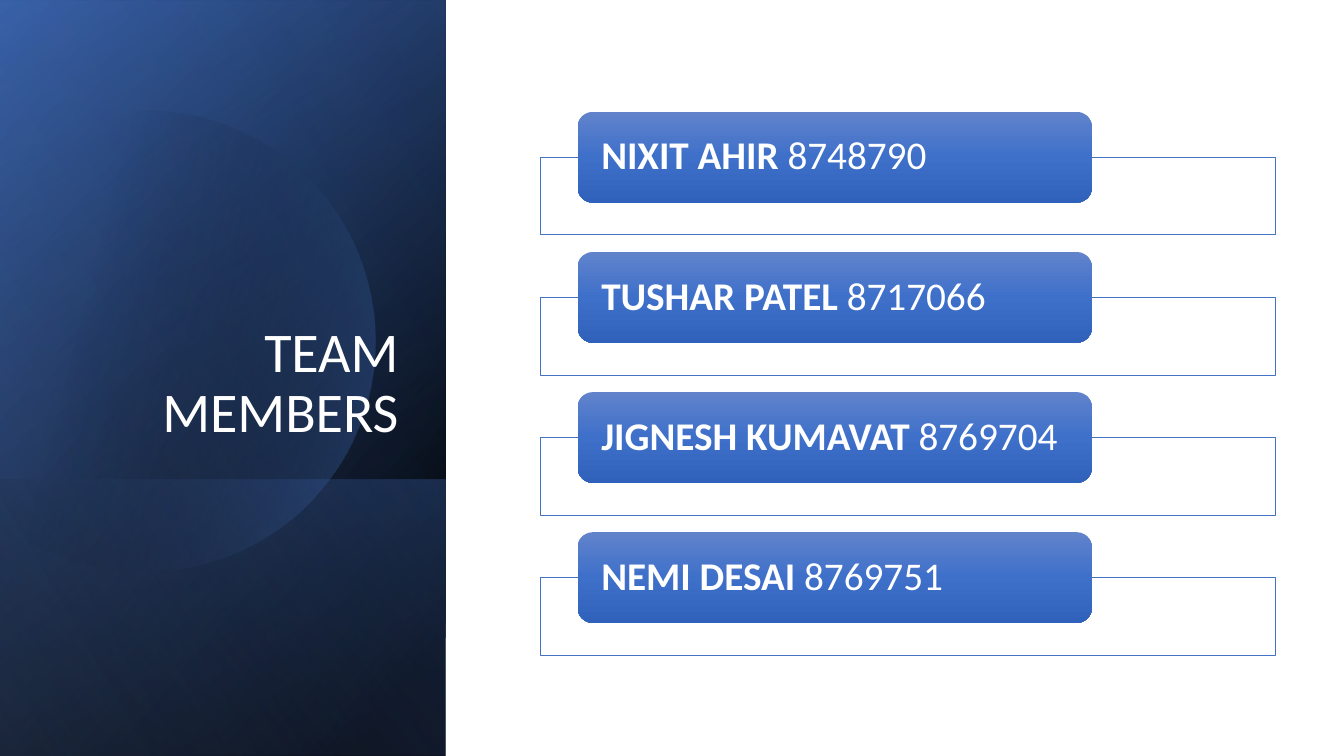
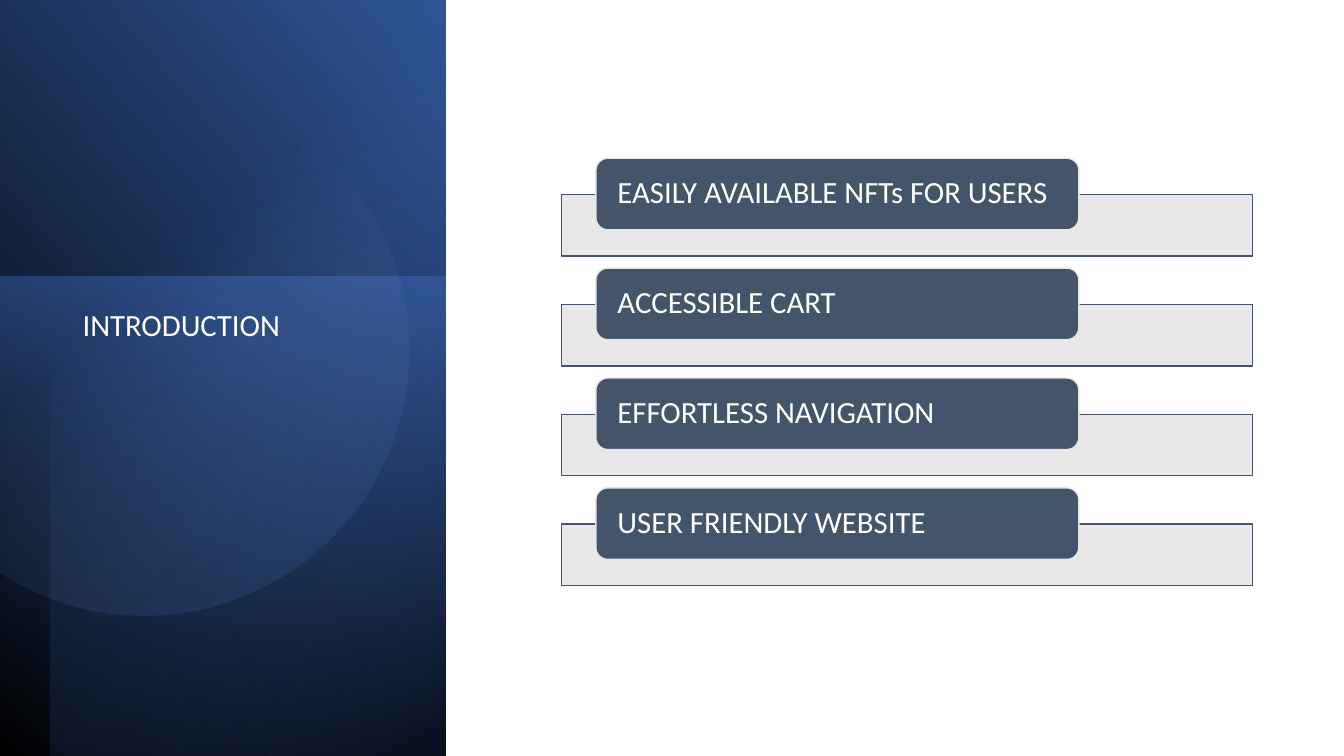
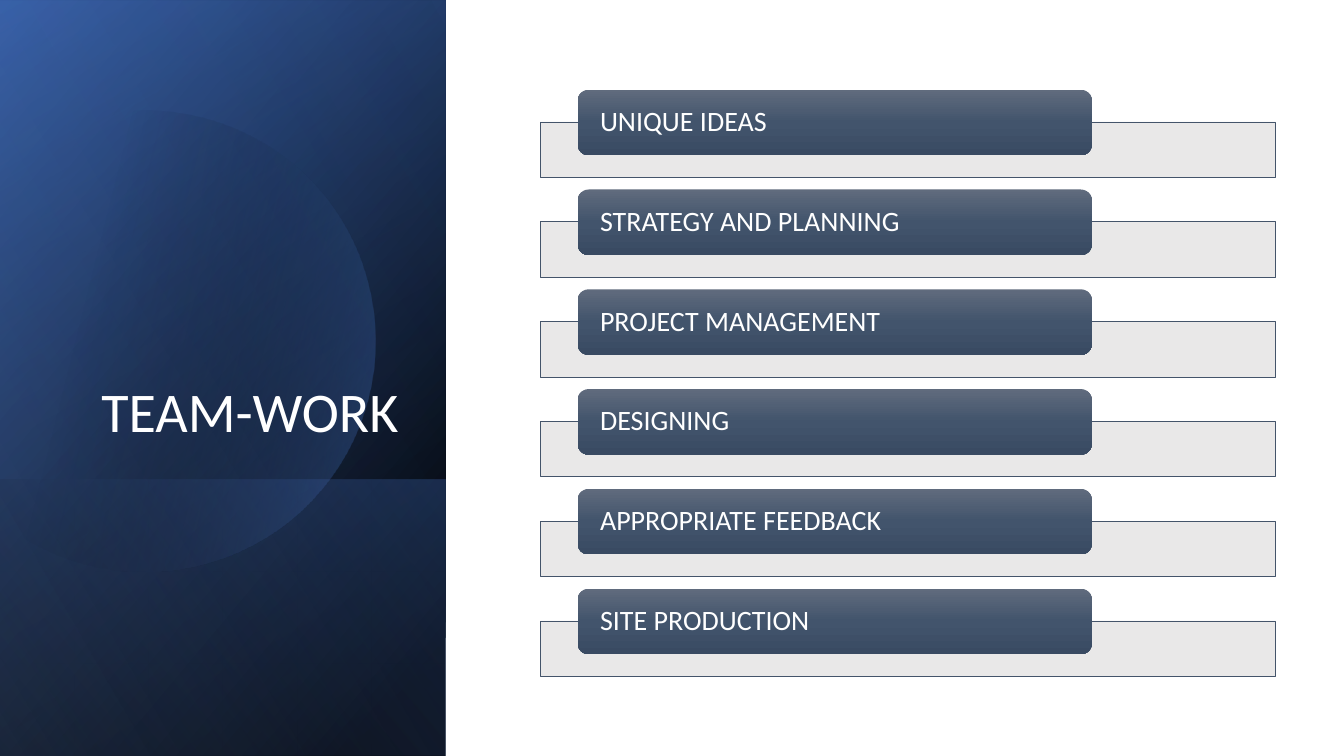
from lxml import etree
from pptx import Presentation
from pptx import util as u
from pptx.dml.color import RGBColor
from pptx.enum import shapes, text
from pptx.oxml.ns import qn

BLACK, WHITE = "000000", "FFFFFF"
BLUE, DEEP_BLUE, PALE_BLUE, NAVY = "4472C4", "2F5597", "8FAADC", "203864"
SLATE, GREY = "44546A", "E7E6E6"
BLUE_CARD = (90, [(0, "6183CB", 100), (50, "3E70CA", 100), (100, "3062BB", 100)])
SLATE_CARD = (90, [(0, "606B7D", 100), (50, "42546C", 100), (100, "394A62", 100)])

CORNER_PANELS = [
    ((-1.54, 1.54, 7.5, 4.42), 90, True, (50, [(8, BLACK, 100), (100, DEEP_BLUE, 100)])),
    ((-1.54, 1.55, 7.5, 4.42), 90, True, (30, [(0, BLACK, 0), (99, BLUE, 46)])),
    ((0.84, 3.92, 2.74, 4.42), 90, True, (130, [(2, BLUE, 29), (100, BLACK, 30)])),
]
CORNER_DISC = [
    (1.49, 1.1), (2.46, 1.12, 3.35, 1.77, 3.63, 2.75),
    (3.98, 3.97, 3.28, 5.23, 2.07, 5.58), (1.31, 5.8, 0.53, 5.61, -0.03, 5.14),
    (-0.15, 5.03), (-0.15, 1.75), (0, 1.61),
    (0.23, 1.42, 0.5, 1.28, 0.8, 1.19), (1.03, 1.13, 1.26, 1.1, 1.49, 1.1),
]
CORNER_DISC_FILL = (14, [(29, BLACK, 0), (100, BLUE, 43)])
CORNER_SHEEN = ((-1.54, 1.54, 7.5, 4.42), 90, True,
                (120, [(0, BLACK, 0), (99, PALE_BLUE, 11)]))
BAND_PANELS = [
    ((-1.55, 1.55, 7.52, 4.42), 90, True, (310, [(0, BLACK, 100), (100, DEEP_BLUE, 100)])),
    ((-0.17, 2.91, 4.76, 4.42), 270, False, (190, [(0, BLUE, 50), (100, NAVY, 0)])),
    ((-1.29, 1.79, 7.5, 3.92), 270, True, (220, [(0, BLACK, 59), (69, BLUE, 0)])),
]
BAND_DISC = [
    (1.43, 0.84), (1.6, 0.84, 1.78, 0.86, 1.96, 0.89),
    (3.38, 1.19, 4.29, 2.58, 4, 4), (3.71, 5.42, 2.32, 6.34, 0.9, 6.05),
    (0.63, 5.99, 0.38, 5.9, 0.15, 5.77), (0, 5.68), (0, 1.26), (0.2, 1.15),
    (0.57, 0.95, 0.99, 0.84, 1.43, 0.84),
]
BAND_DISC_FILL = (51.6, [(39, PALE_BLUE, 0), (100, DEEP_BLUE, 26)])


def color(value):
    return RGBColor.from_string(value)


def set_alpha(color_element, percent):
    if percent < 100:
        etree.SubElement(color_element, qn("a:alpha")).set("val", str(percent * 1000))


def paint(shape, fill, alpha=100):
    if isinstance(fill, str):
        shape.fill.solid()
        shape.fill.fore_color.rgb = color(fill)
        set_alpha(shape._element.spPr.find(qn("a:solidFill"))[0], alpha)
        return
    angle, stops = fill
    shape.fill.gradient()
    gradient = shape._element.spPr.find(qn("a:gradFill"))
    gradient.clear()
    gradient.set("rotWithShape", "1")
    stop_list = etree.SubElement(gradient, qn("a:gsLst"))
    for position, value, opacity in stops:
        stop = etree.SubElement(stop_list, qn("a:gs"), pos=str(position * 1000))
        set_alpha(etree.SubElement(stop, qn("a:srgbClr"), val=value), opacity)
    etree.SubElement(gradient, qn("a:lin"), ang=str(round(angle * 60000)), scaled="0")


def curve(start, handles, steps=24):
    controls = [start, handles[:2], handles[2:4], handles[4:]]
    for step in range(1, steps + 1):
        t = step / steps
        weights = ((1 - t) ** 3, 3 * t * (1 - t) ** 2, 3 * t * t * (1 - t), t ** 3)
        yield tuple(sum(w * point[axis] for w, point in zip(weights, controls))
                    for axis in (0, 1))


def write(shape, runs, size=20, align="LEFT", anchor="TOP", inset=(0.1, 0.05)):
    frame = shape.text_frame
    frame.word_wrap = True
    frame.vertical_anchor = getattr(text.MSO_ANCHOR, anchor)
    frame.margin_left = frame.margin_right = u.Inches(inset[0])
    frame.margin_top = frame.margin_bottom = u.Inches(inset[1])
    paragraph = frame.paragraphs[0]
    paragraph.alignment = getattr(text.PP_ALIGN, align)
    paragraph.line_spacing = 0.9
    for words, bold in runs:
        run = paragraph.add_run()
        run.text = words
        run.font.name = "Calibri"
        run.font.size = u.Pt(size)
        run.font.bold = bold
        run.font.color.rgb = color(WHITE)


class Deck:
    """Holds the presentation, its style and the current slide."""

    def __init__(self):
        self.presentation = Presentation()
        self.presentation.slide_width = u.Inches(13.33)
        self.presentation.slide_height = u.Inches(7.5)
        self.slide = None

    def add_slide(self):
        self.slide = self.presentation.slides.add_slide(self.presentation.slide_layouts[6])

    def finish(self, shape, fill, alpha=100, line=None, line_width=0.5):
        shape.shadow.inherit = False
        paint(shape, fill, alpha)
        if line:
            shape.line.color.rgb = color(line)
            shape.line.width = u.Pt(line_width)
        else:
            shape.line.fill.background()

    def box(self, kind, bounds, fill, **style):
        shape = self.slide.shapes.add_shape(
            getattr(shapes.MSO_SHAPE, kind), *map(u.Inches, bounds))
        self.finish(shape, fill, **style)
        return shape

    def panel(self, bounds, rotation, flipped, fill):
        shape = self.box("RECTANGLE", bounds, fill)
        shape.rotation = rotation
        if flipped:
            shape._element.spPr.find(qn("a:xfrm")).set("flipH", "1")

    def disc(self, outline, fill):
        points = [outline[0]]
        for segment in outline[1:]:
            points.extend(curve(points[-1], segment) if len(segment) == 6 else [segment])
        corners = [(u.Inches(x), u.Inches(y)) for x, y in points]
        builder = self.slide.shapes.build_freeform(*corners[0])
        builder.add_line_segments(corners[1:], close=True)
        self.finish(builder.convert_to_shape(), fill)

    def title(self, words, bounds, **style):
        write(self.slide.shapes.add_textbox(*map(u.Inches, bounds)), [(words, False)], **style)

    def corner_slide(self, title):
        self.add_slide()
        for panel in CORNER_PANELS:
            self.panel(*panel)
        self.disc(CORNER_DISC, CORNER_DISC_FILL)
        self.panel(*CORNER_SHEEN)
        self.title(title, (0.64, 1.84, 3.41, 2.62), size=40, align="RIGHT", anchor="BOTTOM")

    def band_slide(self, title):
        self.add_slide()
        for panel in BAND_PANELS:
            self.panel(*panel)
        self.disc(BAND_DISC, BAND_DISC_FILL)
        self.title(title, (0.72, 3.03, 3.15, 3.36), size=22)

    def card_list(self, items, frame, card, pitch, size, card_fill, frame_fill=GREY,
                  frame_line=SLATE, card_line=None, line_width=0.5, inset=0.19):
        for index, runs in enumerate(items):
            (left, top, *extent), (card_left, card_top, *card_extent) = frame, card
            drop = index * pitch
            self.box("RECTANGLE", (left, top + drop, *extent), frame_fill, alpha=90,
                     line=frame_line, line_width=line_width)
            shape = self.box("ROUNDED_RECTANGLE", (card_left, card_top + drop, *card_extent),
                             card_fill, line=card_line, line_width=line_width)
            write(shape, runs, size=size, anchor="MIDDLE", inset=(inset, 0))


def main():
    deck = Deck()

    deck.corner_slide("TEAM MEMBERS")
    members = [("NIXIT AHIR", "8748790"), ("TUSHAR PATEL", "8717066"),
               ("JIGNESH KUMAVAT", "8769704"), ("NEMI DESAI", "8769751")]
    deck.card_list([[(name + " ", True), (number, False)] for name, number in members],
                   frame=(5.36, 1.56, 7.29, 0.77), card=(5.73, 1.11, 5.1, 0.9),
                   pitch=1.39, size=28, card_fill=BLUE_CARD,
                   frame_fill=WHITE, frame_line=BLUE)

    deck.band_slide("INTRODUCTION")
    features = ["EASILY AVAILABLE NFTs FOR USERS", "ACCESSIBLE CART",
                "EFFORTLESS NAVIGATION", "USER FRIENDLY WEBSITE"]
    deck.card_list([[(feature, False)] for feature in features],
                   frame=(5.57, 1.93, 6.85, 0.61), card=(5.91, 1.57, 4.79, 0.71),
                   pitch=1.09, size=22, card_fill=SLATE, card_line=GREY,
                   line_width=1, inset=0.18)

    deck.corner_slide("TEAM-WORK")
    skills = ["UNIQUE IDEAS", "STRATEGY AND PLANNING", "PROJECT MANAGEMENT",
              "DESIGNING", "APPROPRIATE FEEDBACK", "SITE PRODUCTION"]
    deck.card_list([[(skill, False)] for skill in skills],
                   frame=(5.36, 1.21, 7.29, 0.55), card=(5.73, 0.89, 5.1, 0.65),
                   pitch=0.99, size=20, card_fill=SLATE_CARD)

    deck.presentation.save("out.pptx")


if __name__ == "__main__":
    main()
